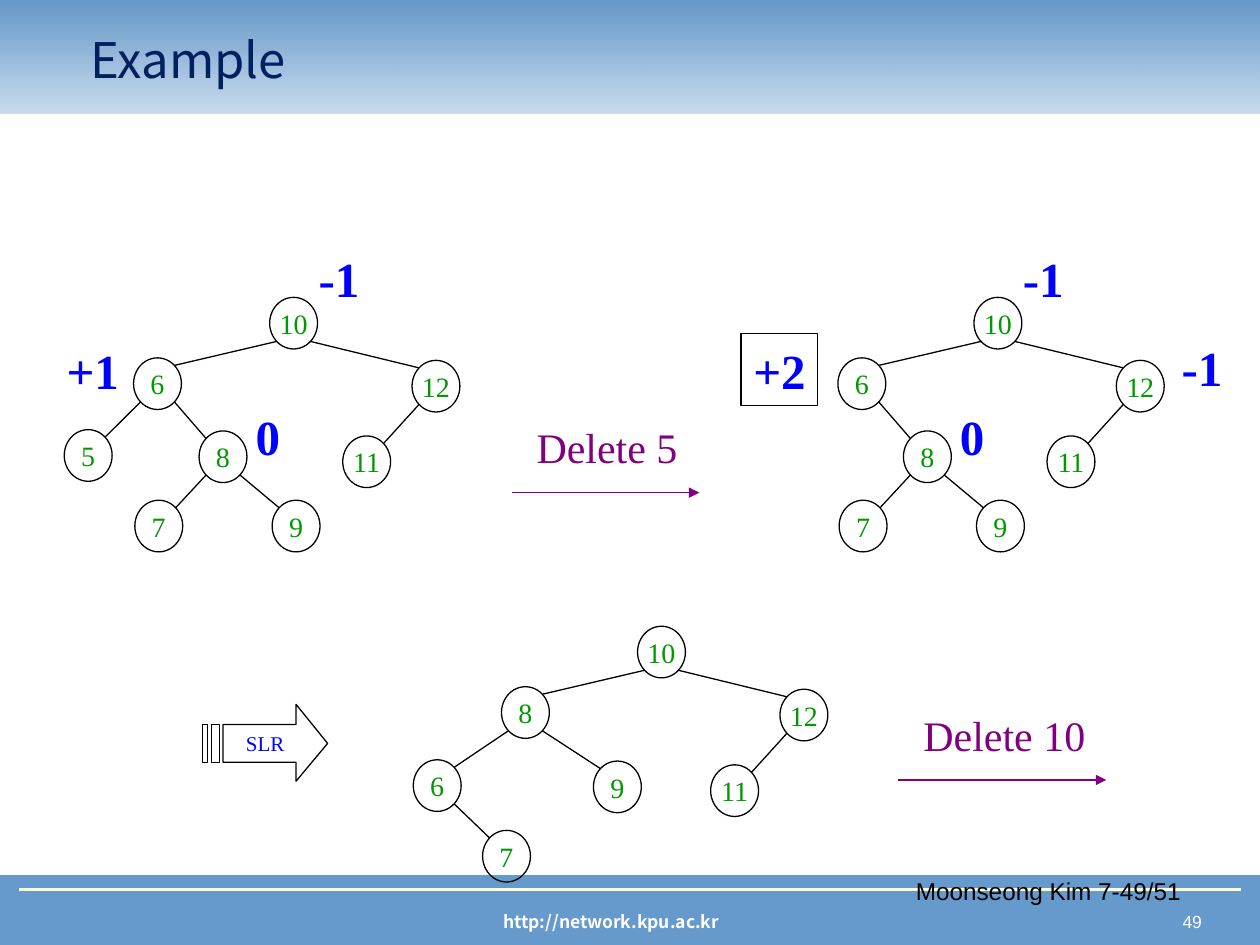
import math

from lxml import etree
from pptx import Presentation
from pptx.dml.color import RGBColor
from pptx.enum.shapes import MSO_CONNECTOR, MSO_SHAPE
from pptx.enum.text import MSO_ANCHOR, MSO_AUTO_SIZE, PP_ALIGN
from pptx.oxml.ns import qn
from pptx.util import Inches, Pt

LEFT, CENTER, RIGHT = PP_ALIGN.LEFT, PP_ALIGN.CENTER, PP_ALIGN.RIGHT
TOP, MIDDLE = MSO_ANCHOR.TOP, MSO_ANCHOR.MIDDLE
STRAIGHT = MSO_CONNECTOR.STRAIGHT
RECT, OVAL = MSO_SHAPE.RECTANGLE, MSO_SHAPE.OVAL

SERIF, SANS, CJK = "Times New Roman", "Arial", "Noto Sans CJK KR"
BLACK, WHITE, BLUE, GREEN, PURPLE = "000000", "FFFFFF", "0000FF", "009900", "800080"
BAND, BAND_TOP, NAVY, CREAM = "6699CC", "6497C9", "002060", "FFFFCC"

SLIDE_W, SLIDE_H = 10, 7.5
NODE_W, NODE_H = 0.38, 0.41

# Places of nodes inside a tree, measured for the tree whose origin is (0, 0)
SLOTS = {
    "root": (2.14, 2.36), "l": (1.06, 2.84), "r": (3.27, 2.86),
    "ll": (0.51, 3.41), "lr": (1.58, 3.42), "rl": (2.72, 3.46),
    "lrl": (1.07, 3.97), "lrr": (2.16, 3.97),
    "wide ll": (0.36, 3.42), "wide lr": (1.79, 3.43), "wide llr": (0.91, 3.98),
}
LABEL_W = {"-1": 0.52, "+1": 0.61, "+2": 0.61, "0": 0.39}

# Each tree: origin, {slot: key}, edges (parent, child), balance factors (text, x, y)
TOP_EDGES = [("root", "l"), ("root", "r")]
INNER_EDGES = TOP_EDGES + [("r", "rl"), ("l", "lr"), ("lr", "lrl"), ("lr", "lrr")]
SHARED_KEYS = {"root": 10, "l": 6, "r": 12, "rl": 11, "lr": 8, "lrl": 7, "lrr": 9}
SHARED_FACTORS = [("-1", 2.43, 1.92), ("0", 1.93, 3.18)]
TREES = [
    ((0, 0), {**SHARED_KEYS, "ll": 5}, INNER_EDGES + [("l", "ll")],
     SHARED_FACTORS + [("+1", 0.43, 2.65)]),
    ((5.59, 0), SHARED_KEYS, INNER_EDGES,
     SHARED_FACTORS + [("-1", 3.69, 2.63), ("+2", 0.29, 2.65)]),
    ((2.92, 2.61),
     {"root": 10, "l": 8, "r": 12, "rl": 11, "wide ll": 6, "wide lr": 9, "wide llr": 7},
     TOP_EDGES + [("r", "rl"), ("l", "wide ll"), ("l", "wide lr"), ("wide ll", "wide llr")],
     []),
]


def rgb(value):
    return RGBColor.from_string(value)


def box(*lengths):
    return [Inches(v) for v in lengths]


def write(shape, text, size, color, font=SERIF, bold=False, align=LEFT, anchor=TOP, wrap=False):
    tf = shape.text_frame
    tf.auto_size = MSO_AUTO_SIZE.NONE
    tf.word_wrap = wrap
    tf.vertical_anchor = anchor
    p = tf.paragraphs[0]
    p.alignment = align
    r = p.add_run()
    r.text = text
    r.font.name, r.font.size, r.font.bold = font, Pt(size), bold
    r.font.color.rgb = rgb(color)
    return p


def add_text(s, at, text, size, color, **style):
    tb = s.shapes.add_textbox(*box(*at))
    return tb, write(tb, text, size, color, **style)


def paint(shape, fill=None, line=None):
    """Set fill and outline; None means there is none."""
    shape.shadow.inherit = False
    if fill:
        shape.fill.solid()
        shape.fill.fore_color.rgb = rgb(fill)
    else:
        shape.fill.background()
    if line:
        shape.line.color.rgb = rgb(line)
        shape.line.width = Pt(0.75)
    else:
        shape.line.fill.background()


def add_shape(s, kind, at, fill=None, line=None):
    sp = s.shapes.add_shape(kind, *box(*at))
    paint(sp, fill, line)
    return sp


def add_line(s, start, end, color=BLACK, width=0.75, arrow=False):
    cx = s.shapes.add_connector(STRAIGHT, *box(*start, *end))
    cx.line.color.rgb = rgb(color)
    cx.line.width = Pt(width)
    sp_pr = cx.element.spPr
    if arrow:
        etree.SubElement(sp_pr.find(qn("a:ln")), qn("a:tailEnd"), type="triangle")
    etree.SubElement(sp_pr, qn("a:effectLst"))


def add_header(s):
    band = add_shape(s, RECT, (0, 0, SLIDE_W, 0.9))
    band.fill.gradient()
    band.fill.gradient_angle = 90
    bottom, top = band.fill.gradient_stops
    bottom.color.rgb, top.color.rgb = rgb(BAND), rgb(BAND_TOP)
    faded = next(band.element.iter(qn("a:srgbClr")))
    etree.SubElement(faded, qn("a:alpha"), val="35000")

    title = s.shapes.title
    title.left, title.top, title.width, title.height = box(0.62, 0.16, 8.44, 0.62)
    write(title, "Example", 28, NAVY, font=CJK, anchor=MIDDLE, wrap=True)
    title.element.getparent().append(title.element)  # in front of the band


def add_footer(s):
    add_shape(s, RECT, (0, 6.95, SLIDE_W, SLIDE_H - 6.95), BAND, BAND)
    number, _ = add_text(s, (7.42, 7.18, 2.26, 0.27), "49", 10, WHITE,
                         font=SANS, align=RIGHT, wrap=True)
    number.text_frame.margin_right = Inches(0.14)
    add_text(s, (2.27, 7.18, 5.16, 0.27), "http://network.kpu.ac.kr", 10, WHITE,
             font=CJK, bold=True, align=CENTER, wrap=True)
    add_line(s, (0.15, 7.06), (SLIDE_W - 0.15, 7.06), CREAM, 1.5)
    _, p = add_text(s, (7.17, 6.95, 2.33, 0.4), "Moonseong Kim 7-49/51", 13.9, BLACK,
                    font=SANS, wrap=True)
    p.line_spacing = 0.8


def add_edge(s, parent, child):
    """Join the lower diagonal point of the parent to the upper one of the child."""
    side = 1 if child[0] > parent[0] else -1
    dx, dy = (math.sqrt(0.5) * d / 2 for d in (NODE_W, NODE_H))
    (px, py), (cx, cy) = [(x + NODE_W / 2, y + NODE_H / 2) for x, y in (parent, child)]
    add_line(s, (px + side * dx, py + dy), (cx - side * dx, cy - dy))


def add_tree(s, origin, keys, edges, factors):
    ox, oy = origin
    places = {slot: (ox + SLOTS[slot][0], oy + SLOTS[slot][1]) for slot in keys}
    for parent, child in edges:
        add_edge(s, places[parent], places[child])
    for slot, key in keys.items():
        node = add_shape(s, OVAL, (*places[slot], NODE_W, NODE_H), line=BLACK)
        write(node, str(key), 16, GREEN, align=CENTER, anchor=MIDDLE)
    for text, x, y in factors:
        at = (ox + x, oy + y, LABEL_W[text], 0.57)
        if text == "+2":
            frame = add_shape(s, RECT, at, line=BLACK)
            write(frame, text, 28, BLUE, bold=True)
        else:
            add_text(s, at, text, 28, BLUE, bold=True)


def add_step(s, x, y, length, text, text_w):
    """A purple operation name above its arrow, which starts at (x, y)."""
    add_text(s, (x + 0.1, y - 0.61, text_w, 0.5), text, 24, PURPLE)
    add_line(s, (x, y), (x + length, y), PURPLE, arrow=True)


def add_rotation_arrow(s):
    """A block arrow with two stripes at its tail, in hundredths of an inch."""
    upper, lower = 575, 605
    outlines = [[(235, 559), (235, upper), (177, upper), (177, lower),
                 (235, lower), (235, 620), (260, 590)]]
    outlines += [[(x1, upper), (x1, lower), (x2, lower), (x2, upper)]
                 for x1, x2 in ((168, 174), (161, 165))]
    fb = s.shapes.build_freeform(*outlines[0][0], scale=Inches(0.01))
    for i, points in enumerate(outlines):
        if i:
            fb.move_to(*points[0])
        fb.add_line_segments(points[1:], close=True)
    sp = fb.convert_to_shape()
    paint(sp, WHITE, BLACK)
    write(sp, "SLR", 12, BLUE, align=CENTER, anchor=MIDDLE, wrap=True)


def main():
    prs = Presentation()
    prs.slide_width, prs.slide_height = box(SLIDE_W, SLIDE_H)
    s = prs.slides.add_slide(prs.slide_layouts[5])
    add_header(s)
    add_footer(s)
    add_rotation_arrow(s)
    add_step(s, 4.06, 3.91, 1.49, "Delete 5", 1.32)
    for tree in TREES:
        add_tree(s, *tree)
    add_step(s, 7.13, 6.19, 1.65, "Delete 10", 1.48)
    prs.save("out.pptx")


if __name__ == "__main__":
    main()
